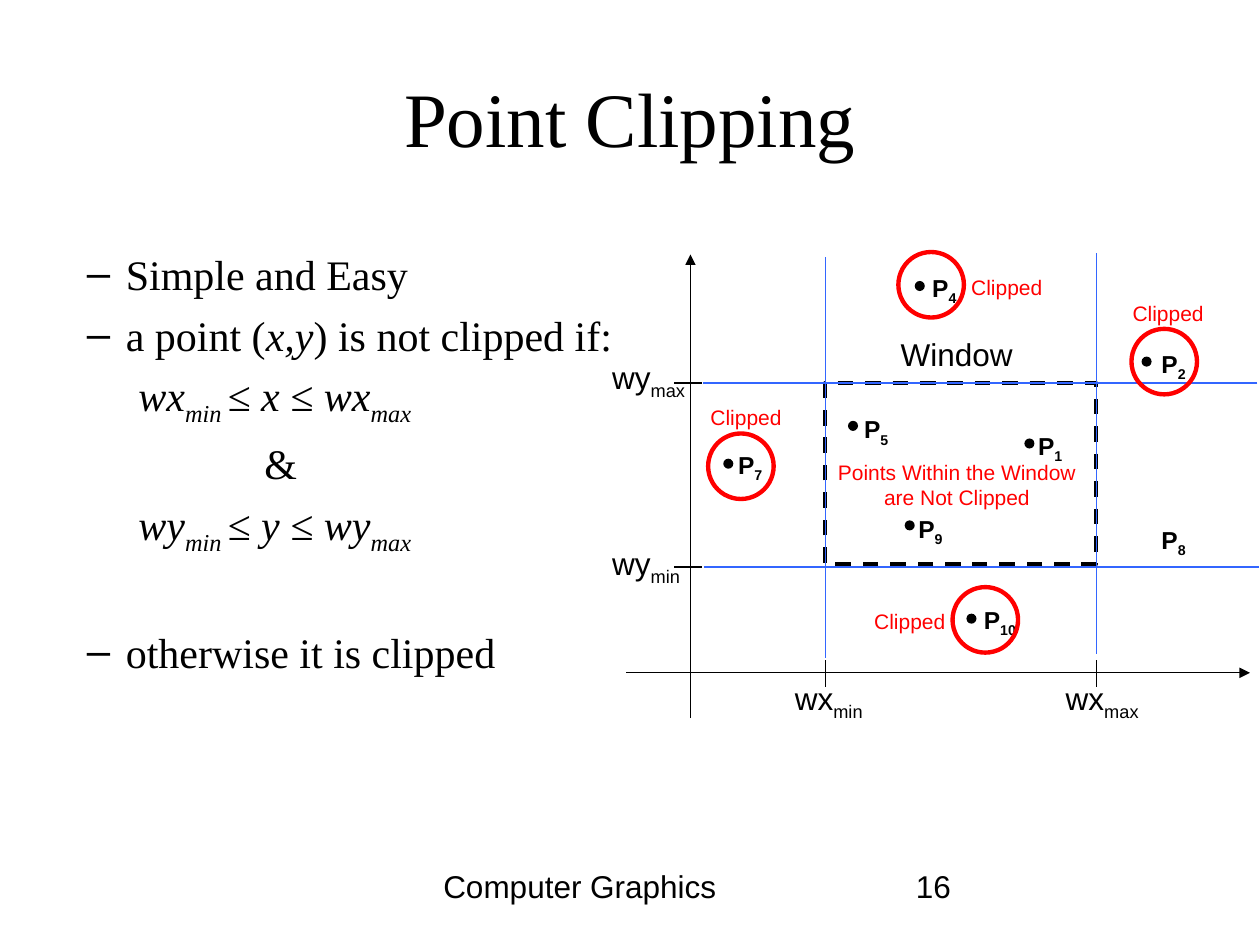
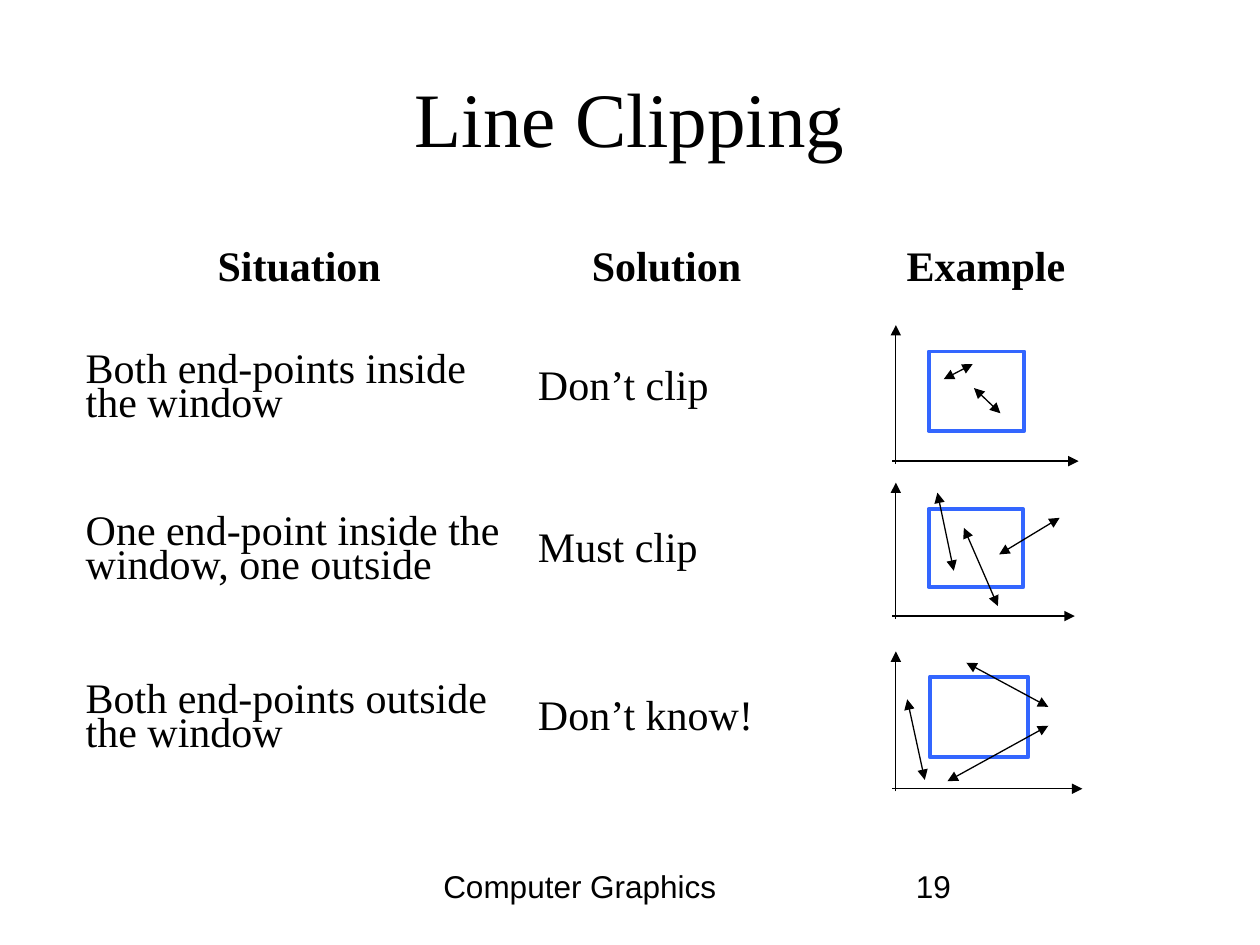
"""Build two slides on point clipping and line clipping."""
from lxml import etree
from pptx import Presentation
from pptx.dml.color import RGBColor
from pptx.enum.dml import MSO_LINE
from pptx.enum.shapes import MSO_CONNECTOR, MSO_SHAPE
from pptx.enum.text import MSO_ANCHOR, MSO_AUTO_SIZE, PP_ALIGN
from pptx.oxml.ns import qn
from pptx.util import Pt

PX = 9144
BLACK = RGBColor(0, 0, 0)
RED = RGBColor(255, 0, 0)
BLUE = RGBColor(0x33, 0x66, 0xFF)
SANS, SERIF = "Arial", "Times New Roman"
STRAIGHT = MSO_CONNECTOR.STRAIGHT
RECTANGLE, OVAL = MSO_SHAPE.RECTANGLE, MSO_SHAPE.OVAL
DASH = MSO_LINE.DASH
MIDDLE = MSO_ANCHOR.MIDDLE
FIXED = MSO_AUTO_SIZE.NONE
LEFT, CENTER = PP_ALIGN.LEFT, PP_ALIGN.CENTER

SLIDE = (1000, 750)
TITLE = (50, 30, 900, 125)
FOOTER = "Computer Graphics"
FOOTER_BOX, NUMBER_BOX = (342, 683, 316, 51), (717, 683, 233, 51)

# Spans are (text, style): "i" is italic, "s" is subscript.
RULES_BOX = (0, 192, 508, 408)
RULES = [
    {"spans": [("Simple and Easy", "")], "bullet": True, "before": 0},
    {"spans": [("a point (", ""), ("x,y", "i"), (") is not clipped if:", "")],
     "bullet": True},
    {"spans": [("wx", "i"), ("min ", "is"), ("≤ x ≤ wx", "i"), ("max", "is")],
     "indent": 100},
    {"spans": [("&", "")], "indent": 200},
    {"spans": [("wy", "i"), ("min ", "is"), ("≤ y ≤ wy", "i"), ("max", "is")],
     "indent": 100},
    {"spans": [("otherwise it is clipped", "")], "bullet": True, "before": 40},
]

X_MIN, X_MAX, Y_TOP, Y_BOTTOM = 655, 870, 304, 450
AXES = [((497, 534), (992, 534)), ((548, 570), (548, 202))]
TICKS = ([((557, y), (535, y)) for y in (Y_TOP, Y_BOTTOM)]
         + [((x, 524), (x, 545)) for x in (X_MIN, X_MAX)])
WINDOW_LINES = [
    ((998, Y_TOP), (558, Y_TOP)), ((999, Y_BOTTOM), (559, Y_BOTTOM)),
    ((X_MIN, 204), (X_MIN, 522)), ((X_MAX, 201), (X_MAX, 519)),
]
AXIS_LABEL_SIZE = (90, 44)
AXIS_LABELS = [
    ("wy", "max", (476, 279)), ("wy", "min", (476, 427)),
    ("wx", "min", (621, 534)), ("wx", "max", (836, 534)),
]
WINDOW_LABEL = (705, 261, 120, 40)
INSIDE_NOTE = "Points Within the Window are Not Clipped"
INSIDE_NOTE_BOX = (654, 360, 211, 50)
DOT, RING = 8, 52
POINT_LABEL_SIZE, CLIPPED_SIZE = (60, 37), (90, 30)
POINTS = [
    {"number": "1", "label": (814, 337), "dot": (813, 348)},
    {"number": "2", "label": (912, 272), "dot": (906, 283),
     "ring": (898, 261), "clipped": (889, 234)},
    {"number": "4", "label": (730, 212), "dot": (726, 223),
     "ring": (713, 200), "clipped": (761, 213)},
    {"number": "5", "label": (676, 324), "dot": (673, 334)},
    {"number": "7", "label": (576, 352), "dot": (574, 364),
     "ring": (562, 344), "clipped": (554, 316)},
    {"number": "8", "label": (912, 412)},
    {"number": "9", "label": (719, 403), "dot": (718, 413)},
    {"number": "10", "label": (771, 475), "dot": (767, 487),
     "ring": (756, 466), "clipped": (684, 478)},
]

TABLE_BOX = (58, 183, 866, 455)
COLUMNS, ROWS = (359, 224, 283), (64, 125, 133, 133)
CASES = [
    ("Situation", "Solution", "Example"),
    ("Both end-points inside the window", "Don’t clip", ""),
    ("One end-point inside the window, one outside", "Must clip", ""),
    ("Both end-points outside the window", "Don’t know!", ""),
]
AXIS_LEFT, AXIS_X = 708, 711
EXAMPLES = [
    {"right": 856, "base": 366, "top": 258, "window": (737, 279, 76, 63),
     "segments": [((749, 301), (772, 289)), ((773, 308), (794, 328))]},
    {"right": 853, "base": 489, "top": 383, "window": (737, 404, 75, 62),
     "segments": [((793, 440), (841, 411)), ((765, 419), (792, 481)),
                  ((744, 391), (757, 453))]},
    {"right": 859, "base": 626, "top": 517, "window": (738, 537, 78, 64),
     "segments": [((767, 526), (832, 561)), ((752, 620), (832, 576)),
                  ((720, 555), (734, 619))]},
]


def scaled(lengths):
    return [length * PX for length in lengths]


def write(para, spans, size, font=SANS, color=BLACK, bold=False, align=LEFT):
    para.alignment = align
    for text, style in spans:
        span = para.add_run()
        span.text = text
        span.font.size, span.font.name = Pt(size), font
        span.font.bold, span.font.italic = bold, "i" in style
        span.font.color.rgb = color
        if "s" in style:
            span._r.get_or_add_rPr().set("baseline", "-25000")


def add_text(page, box, spans, size, **look):
    frame = page.shapes.add_textbox(*scaled(box)).text_frame
    frame.word_wrap, frame.auto_size = True, FIXED
    write(frame.paragraphs[0], spans, size, **look)


def add_outline(page, kind, box, color, width, dash=None):
    shape = page.shapes.add_shape(kind, *scaled(box))
    shape.shadow.inherit = False
    shape.fill.background()
    shape.line.color.rgb, shape.line.width = color, Pt(width)
    if dash:
        shape.line.dash_style = dash


def add_dot(page, corner):
    dot = page.shapes.add_shape(OVAL, *scaled((*corner, DOT, DOT)))
    dot.shadow.inherit = False
    dot.fill.solid()
    dot.fill.fore_color.rgb = BLACK
    dot.line.fill.background()


def add_line(page, ends, color=BLACK, arrows=()):
    start, end = ends
    line = page.shapes.add_connector(STRAIGHT, *scaled(start + end))
    line.line.color.rgb, line.line.width = color, Pt(0.75)
    for arrow in arrows:
        etree.SubElement(line.line._get_or_add_ln(), qn(f"a:{arrow}"), type="triangle")
    etree.SubElement(line._element.spPr, qn("a:effectLst"))


def add_page(deck, title, number):
    page = deck.slides.add_slide(deck.slide_layouts[5])
    heading = page.shapes.title
    heading.left, heading.top, heading.width, heading.height = scaled(TITLE)
    frame = heading.text_frame
    frame.word_wrap, frame.auto_size, frame.vertical_anchor = True, FIXED, MIDDLE
    write(frame.paragraphs[0], [(title, "")], 44, SERIF, align=CENTER)
    add_text(page, FOOTER_BOX, [(FOOTER, "")], 18)
    add_text(page, NUMBER_BOX, [(number, "")], 18)
    return page


def add_rules(page):
    frame = page.shapes.add_textbox(*scaled(RULES_BOX)).text_frame
    frame.word_wrap = True
    for index, rule in enumerate(RULES):
        para = frame.add_paragraph() if index else frame.paragraphs[0]
        properties = para._p.get_or_add_pPr()
        properties.set("marL", str(rule.get("indent", 90) * PX))
        if rule.get("bullet"):
            properties.set("indent", str(-31 * PX))
            etree.SubElement(properties, qn("a:buFont"), typeface=SANS)
            etree.SubElement(properties, qn("a:buChar"), char="–")
        para.space_before = Pt(rule.get("before", 6))
        write(para, rule["spans"], 24, SERIF)


def add_point(page, point):
    add_text(page, point["label"] + POINT_LABEL_SIZE,
             [("P", ""), (point["number"], "s")], 14, bold=True)
    if "dot" in point:
        add_dot(page, point["dot"])
    if "ring" in point:
        add_outline(page, OVAL, (*point["ring"], RING, RING), RED, 2.5)
        add_text(page, point["clipped"] + CLIPPED_SIZE, [("Clipped", "")], 12, color=RED)


def add_window_diagram(page):
    for axis in AXES:
        add_line(page, axis, arrows=("tailEnd",))
    for tick in TICKS:
        add_line(page, tick)
    add_outline(page, RECTANGLE, (X_MIN, Y_TOP, X_MAX - X_MIN, 144), BLACK, 2.25, DASH)
    for line in WINDOW_LINES:
        add_line(page, line, BLUE)
    for name, limit, corner in AXIS_LABELS:
        add_text(page, corner + AXIS_LABEL_SIZE, [(name, ""), (limit, "s")], 18)
    add_text(page, WINDOW_LABEL, [("Window", "")], 18)
    add_text(page, INSIDE_NOTE_BOX, [(INSIDE_NOTE, "")], 12, color=RED, align=CENTER)
    for point in POINTS:
        add_point(page, point)


def add_cases(page):
    table = page.shapes.add_table(len(ROWS), len(COLUMNS), *scaled(TABLE_BOX)).table
    table.first_row = table.horz_banding = False
    for column, width in zip(table.columns, COLUMNS):
        column.width = width * PX
    for row_index, (row, height) in enumerate(zip(table.rows, ROWS)):
        row.height = height * PX
        header = row_index == 0
        for cell, text in zip(row.cells, CASES[row_index]):
            cell.fill.background()
            cell.vertical_anchor = MIDDLE
            if text:
                para = cell.text_frame.paragraphs[0]
                para.line_spacing = 0.74
                write(para, [(text, "")], 24, SERIF, bold=header,
                      align=CENTER if header else LEFT)


def add_example(page, example):
    base = example["base"]
    add_line(page, ((AXIS_LEFT, base), (example["right"], base)), arrows=("tailEnd",))
    add_line(page, ((AXIS_X, base + 2), (AXIS_X, example["top"])), arrows=("tailEnd",))
    add_outline(page, RECTANGLE, example["window"], BLUE, 2.25)
    for segment in example["segments"]:
        add_line(page, segment, arrows=("headEnd", "tailEnd"))


def main():
    deck = Presentation()
    deck.slide_width, deck.slide_height = scaled(SLIDE)
    points_page = add_page(deck, "Point Clipping", "16")
    add_rules(points_page)
    add_window_diagram(points_page)
    lines_page = add_page(deck, "Line Clipping", "19")
    add_cases(lines_page)
    for example in EXAMPLES:
        add_example(lines_page, example)
    deck.save("out.pptx")


if __name__ == "__main__":
    main()
